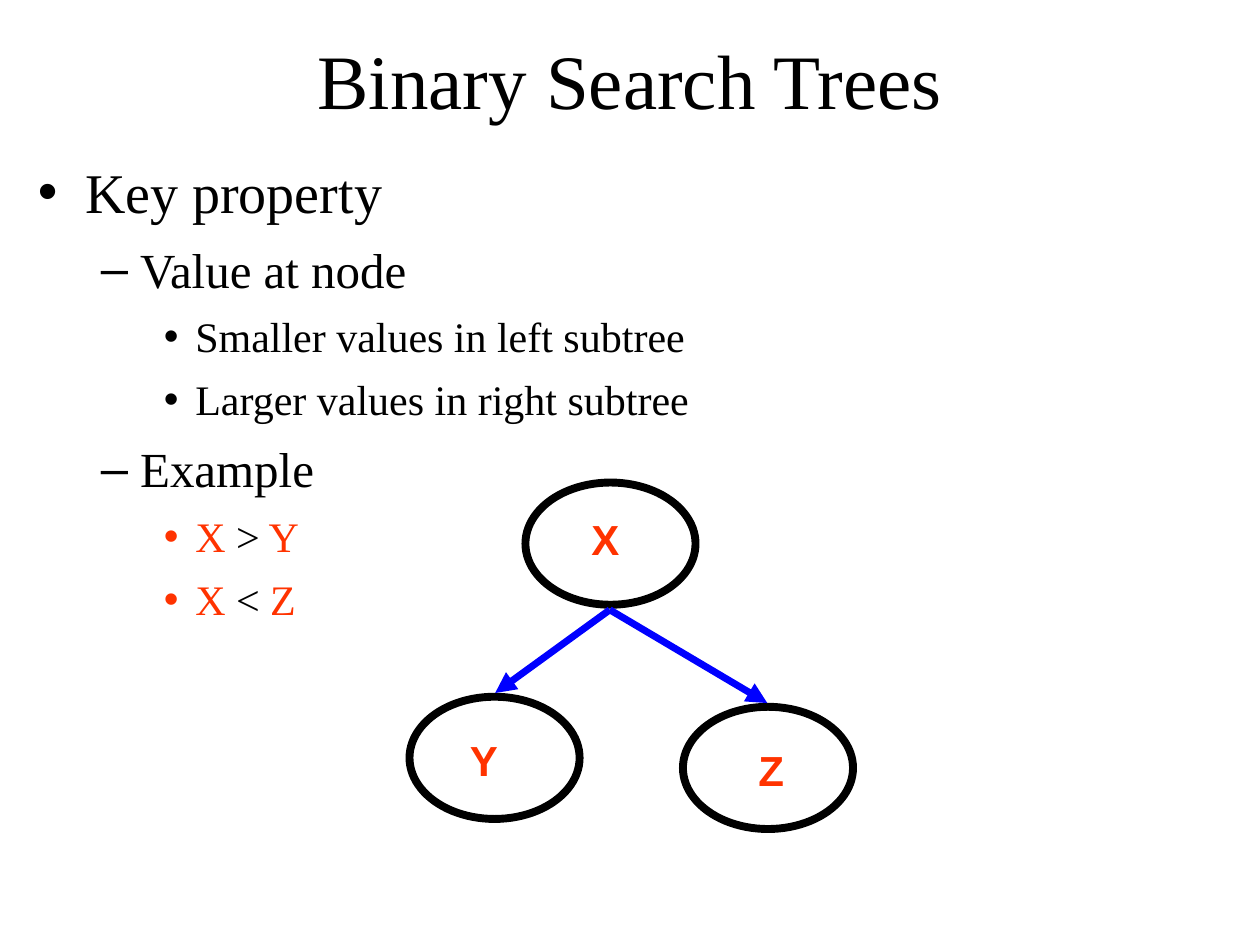
import pptx
import pptx.util
import pptx.dml.color
import pptx.enum.shapes
import pptx.enum.text
import pptx.oxml.ns
from lxml import etree
from pptx.util import Inches

COLORS = {"text": "000000", "key": "FF3300", "edge": "0000FF"}
SERIF, SANS = "Times New Roman", "Arial"


def rgb(name):
    return pptx.dml.color.RGBColor.from_string(COLORS[name])


def style(font, face, size, color):
    font.name = face
    font.size = pptx.util.Pt(size)
    font.color.rgb = rgb(color)


deck = pptx.Presentation()
deck.slide_width, deck.slide_height = Inches(10), Inches(7.5)
slide = deck.slides.add_slide(deck.slide_layouts[1])

# Title
title = slide.shapes.title
title.left, title.top = Inches(0.75), Inches(0)
title.width, title.height = Inches(8.5), Inches(1.25)
title.text_frame.text = "Binary Search Trees"
style(title.text_frame.paragraphs[0].font, SERIF, 44, "text")

# Outline: level and coloured pieces of each line
outline = [
    (0, [("Key property", "text")]),
    (1, [("Value at node", "text")]),
    (2, [("Smaller values in left subtree", "text")]),
    (2, [("Larger values in right subtree", "text")]),
    (1, [("Example", "text")]),
    (2, [("X ", "key"), (">", "text"), (" Y", "key")]),
    (2, [("X ", "key"), ("<", "text"), (" Z", "key")]),
]
level_sizes = [32, 28, 24]
body = slide.placeholders[1]
body.left, body.top = Inches(0.2), Inches(1.15)
body.width, body.height = Inches(8.5), Inches(4.5)
body_text = body.text_frame
body_text.auto_size = pptx.enum.text.MSO_AUTO_SIZE.NONE
body_text.margin_top = Inches(0.1)
for index, (level, pieces) in enumerate(outline):
    line = body_text.add_paragraph() if index else body_text.paragraphs[0]
    line.level = level
    size = level_sizes[level]
    line.space_before = pptx.util.Pt(0.3 * size if index else 0)
    style(line.font, SERIF, size, pieces[0][1])
    for words, color in pieces:
        piece = line.add_run()
        piece.text = words
        style(piece.font, SERIF, size, color)

# Tree nodes
for left, top in [(4.17, 3.83), (3.25, 5.53), (5.42, 5.61)]:
    node = slide.shapes.add_shape(
        pptx.enum.shapes.MSO_SHAPE.OVAL,
        Inches(left), Inches(top), Inches(1.35), Inches(0.97))
    node.shadow.inherit = False
    node.fill.background()
    node.line.color.rgb = rgb("text")
    node.line.width = pptx.util.Pt(4.5)

# Edges from the root to its children
for child_x, child_y in [(6.09, 5.58), (3.93, 5.5)]:
    edge = slide.shapes.add_connector(
        pptx.enum.shapes.MSO_CONNECTOR.STRAIGHT,
        Inches(4.84), Inches(4.84), Inches(child_x), Inches(child_y))
    edge.line.color.rgb = rgb("edge")
    edge.line.width = pptx.util.Pt(4)
    outline_xml = edge.line._get_or_add_ln()
    etree.SubElement(outline_xml, pptx.oxml.ns.qn("a:tailEnd"), type="triangle")
    etree.SubElement(edge._element.spPr, pptx.oxml.ns.qn("a:effectLst"))

# Node keys
for key, left, top, width in [("Y", 3.5, 5.78, 0.68), ("X", 4.33, 4.03, 0.95),
                              ("Z", 5.58, 5.86, 1.08)]:
    label = slide.shapes.add_textbox(
        Inches(left), Inches(top), Inches(width), Inches(0.5)).text_frame
    label.word_wrap = True
    label.auto_size = pptx.enum.text.MSO_AUTO_SIZE.SHAPE_TO_FIT_TEXT
    label.text = key
    caption = label.paragraphs[0]
    caption.alignment = pptx.enum.text.PP_ALIGN.CENTER
    style(caption.font, SANS, 24, "key")
    caption.font.bold = True

deck.save("out.pptx")
